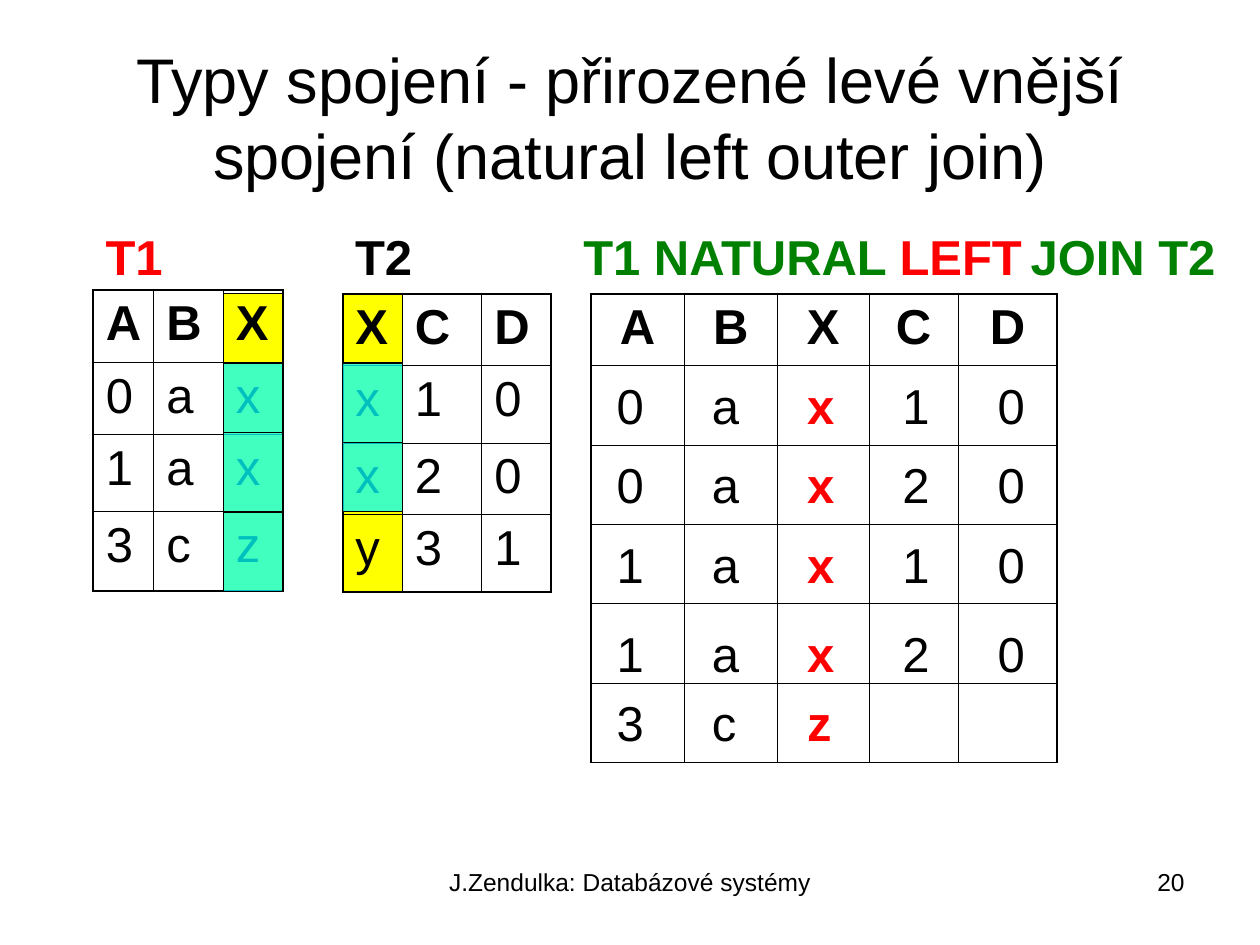
import pptx
import pptx.dml.color
import pptx.enum.shapes
import pptx.enum.text
import pptx.oxml
import pptx.oxml.ns
import pptx.util
from lxml import etree

Cm = pptx.util.Cm
Pt = pptx.util.Pt
ALIGN = pptx.enum.text.PP_ALIGN
ANCHOR = pptx.enum.text.MSO_ANCHOR
qn = pptx.oxml.ns.qn

BLACK, RED, GREEN = "000000", "FF0000", "008000"
YELLOW, CYAN = "FFFF00", "00FFFF"
HEADING_TOP, LINE_H = 4.32, 1.45
VALUE_STEP = 1.92


def color(value):
    return pptx.dml.color.RGBColor.from_string(value)


def style(font, size, value=BLACK, bold=False):
    font.name, font.size, font.bold = "Arial", Pt(size), bold
    font.color.rgb = color(value)


def add_text(s, box, align=ALIGN.LEFT, anchor=ANCHOR.TOP):
    tf = s.shapes.add_textbox(*map(Cm, box)).text_frame
    tf.word_wrap, tf.vertical_anchor = True, anchor
    p = tf.paragraphs[0]
    p.alignment = align
    return tf, p


def add_line(s, box, text, size, align, anchor=ANCHOR.TOP):
    tf, p = add_text(s, box, align, anchor)
    p.text = text
    style(p.font, size)


def add_runs(s, box, runs):
    tf, p = add_text(s, box)
    tf.margin_top, tf.margin_bottom = Cm(0.25), Cm(0.05)
    for text, size, value, bold in runs:
        r = p.add_run()
        r.text = text
        style(r.font, size, value, bold)
    return tf, p


def add_heading(s, left, width, *runs):
    add_runs(s, (left, HEADING_TOP, width, LINE_H), runs)


def add_block(s, box, value, alpha=None):
    sp = s.shapes.add_shape(pptx.enum.shapes.MSO_SHAPE.RECTANGLE, *map(Cm, box))
    sp.shadow.inherit = False
    sp.fill.solid()
    sp.fill.fore_color.rgb = color(value)
    sp.line.color.rgb = color(BLACK)
    sp.line.width = Pt(0.75)
    if alpha:
        clr = sp.fill._xPr.find(qn("a:solidFill"))[0]
        etree.SubElement(clr, qn("a:alpha")).set("val", str(alpha * 1000))


def set_borders(cell, widths):
    tcPr = cell._tc.get_or_add_tcPr()
    for side, width in zip("LRTB", widths):
        ln = etree.SubElement(tcPr, qn("a:ln" + side), w=str(Pt(width)))
        fill = etree.SubElement(ln, qn("a:solidFill"))
        etree.SubElement(fill, qn("a:srgbClr"), val=BLACK)


def add_grid(s, left, top, widths, heights, rows, align=ALIGN.LEFT):
    n_rows, n_cols = len(heights), len(widths)
    table = s.shapes.add_table(n_rows, n_cols, Cm(left), Cm(top),
                               Cm(sum(widths)), Cm(sum(heights))).table
    table.first_row = table.horz_banding = False
    for col, width in zip(table.columns, widths):
        col.width = Cm(width)
    for row, height in zip(table.rows, heights):
        row.height = Cm(height)
    for i in range(n_rows):
        for j in range(n_cols):
            cell = table.cell(i, j)
            thick = (j == 0, j == n_cols - 1, i < 2, i in (0, n_rows - 1))
            set_borders(cell, [1.08 if t else 0.45 for t in thick])
            cell.fill.background()
            if i < len(rows):
                p = cell.text_frame.paragraphs[0]
                p.text, p.alignment = rows[i][j], align
                style(p.font, 28, bold=i == 0)


def add_relation(s, left, top, name, name_color, widths, heights, rows,
                 key_left, key_top, marks):
    key_w = 1.2
    add_block(s, (key_left, key_top, key_w, 6), YELLOW)
    add_grid(s, left, top, widths, heights, rows)
    add_heading(s, left, 1.8, (name, 28, name_color, True))
    for offset, height in marks:
        add_block(s, (key_left, key_top + offset, key_w, height), CYAN, 75)


def add_result(s, left, top):
    widths = [1.88, 1.88, 1.85, 1.79, 2]
    add_grid(s, left, top, widths, [1.45] + [1.6] * 5, ["ABXCD"], ALIGN.CENTER)
    add_heading(s, left - 0.4, 13.89, ("T1 NATURAL ", 28, GREEN, True),
                ("LEFT", 28, RED, True), (" ", 18, BLACK, False),
                ("JOIN T2", 28, GREEN, True))
    rows = [(1.4, "0ax10"), (3, "0ax20"), (4.6, "1ax10"), (6.4, "1ax20"), (7.8, "3cz")]
    for offset, values in rows:
        runs = [("\t".join(values[:2]) + "\t", 28, BLACK, False),
                (values[2], 28, RED, True)]
        if values[3:]:
            runs.append(("\t" + "\t".join(values[3:]), 28, BLACK, False))
        tf, p = add_runs(s, (left, top + offset, sum(widths), LINE_H), runs)
        tf.margin_left = Cm(0.52)
        tabs = etree.SubElement(p._p.get_or_add_pPr(), qn("a:tabLst"))
        for i in range(1, len(values)):
            etree.SubElement(tabs, qn("a:tab"), pos=str(Cm(VALUE_STEP * i)), algn="l")


def add_footer(s, top):
    add_line(s, (8.68, top, 8.04, 1.31), "J.Zendulka: Databázové systémy", 14, ALIGN.CENTER)
    add_line(s, (18.2, top, 5.93, 1.31), "20", 14, ALIGN.RIGHT)


def main():
    prs = pptx.Presentation()
    prs.slide_width, prs.slide_height = Cm(25.4), Cm(19.05)
    s = prs.slides.add_slide(prs.slide_layouts[6])
    add_footer(s, 17.36)
    add_line(s, (1.27, 0.76, 22.86, 3.18),
             "Typy spojení - přirozené levé vnější spojení (natural left outer join)",
             36, ALIGN.CENTER, ANCHOR.MIDDLE)
    add_relation(s, 1.88, 5.84, "T1", RED, [1.22, 1.4, 1.2], [1.47, 1.45, 1.55, 1.6],
                 ["ABX", "0ax", "1ax", "3cz"], 4.5, 5.92,
                 [(1.4, 1.4), (2.8, 1.6), (4.4, 1.6)])
    add_relation(s, 6.91, 5.92, "T2", BLACK, [1.2, 1.6, 1.4], [1.45, 1.56, 1.43, 1.56],
                 ["XCD", "x10", "x20", "y31"], 6.91, 5.92, [(1.4, 1.6), (3, 1.4)])
    add_result(s, 11.91, 5.92)
    prs.save("out.pptx")


if __name__ == "__main__":
    main()
